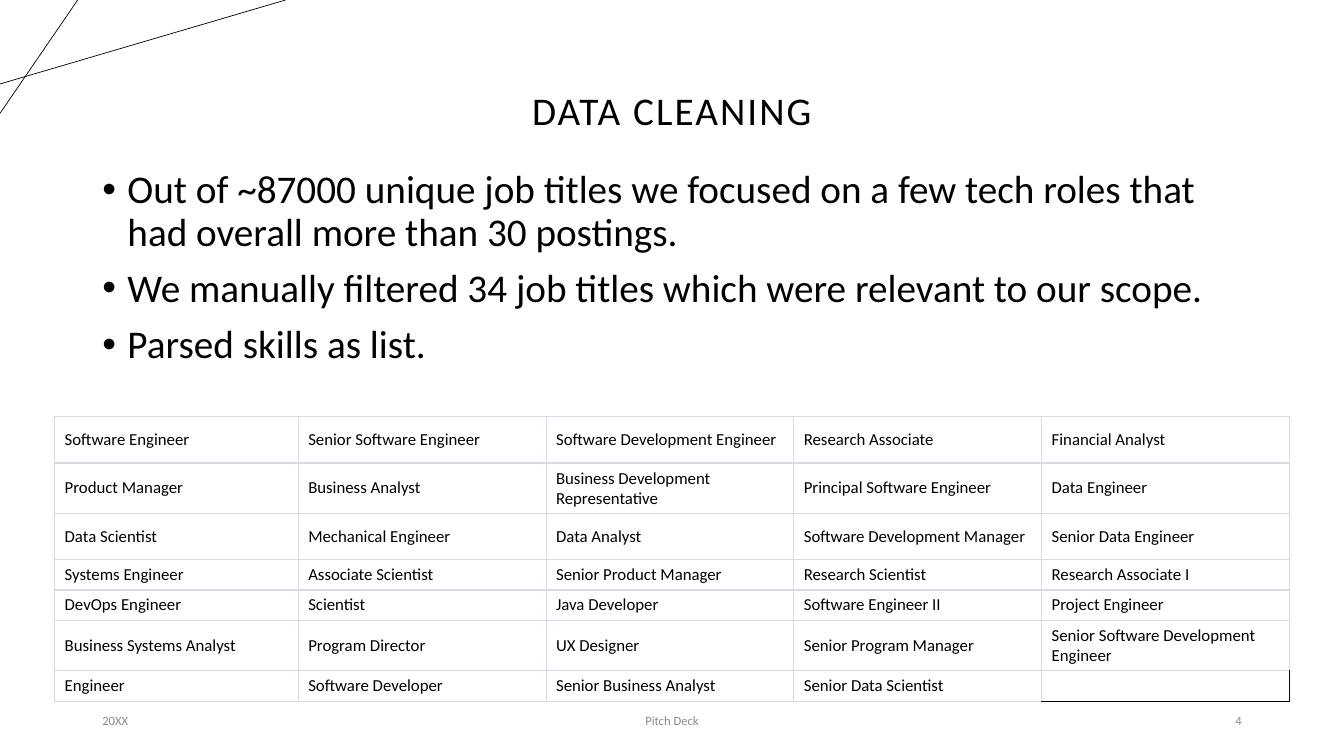
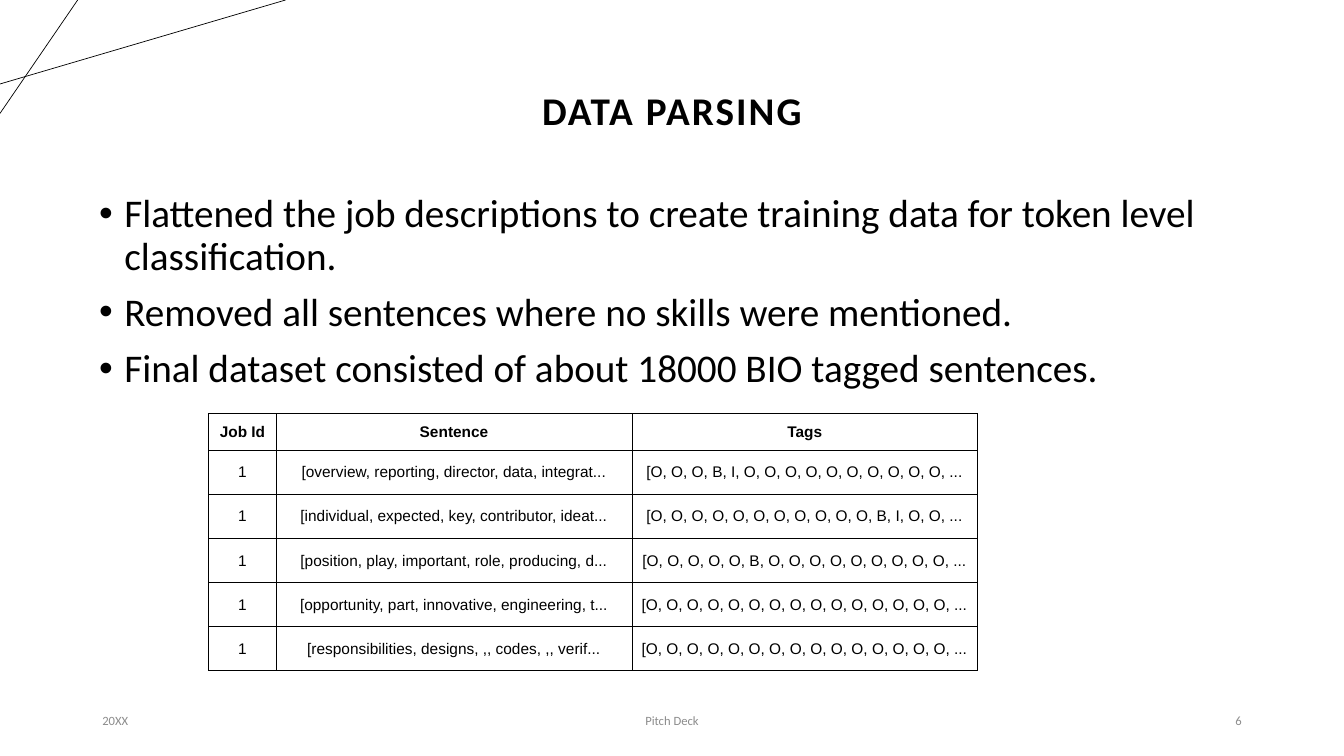
from dataclasses import dataclass

from lxml.etree import SubElement
from pptx import Presentation
from pptx.dml.color import RGBColor
from pptx.enum.shapes import MSO_CONNECTOR
from pptx.enum.text import MSO_ANCHOR, PP_ALIGN
from pptx.oxml.ns import qn
from pptx.util import Pt

PX = 9525  # EMU in one px
WIDE, HIGH = 1280, 720


@dataclass(frozen=True)
class Theme:
    ink: str = "000000"
    muted: str = "8C8C8C"
    rule: str = "D9D9E3"
    main: str = "Calibri"
    data: str = "Arial"
    head: int = 28
    body: int = 28
    cell: int = 12
    tag: int = 11
    foot: int = 9
    track: int = 150  # title letter spacing, 1/100 pt
    thin: float = 0.5
    fine: float = 0.75
    firm: float = 1


THEME = Theme()

JOBS = [
    ["Software Engineer", "Senior Software Engineer", "Software Development Engineer",
     "Research Associate", "Financial Analyst"],
    ["Product Manager", "Business Analyst", "Business Development Representative",
     "Principal Software Engineer", "Data Engineer"],
    ["Data Scientist", "Mechanical Engineer", "Data Analyst",
     "Software Development Manager", "Senior Data Engineer"],
    ["Systems Engineer", "Associate Scientist", "Senior Product Manager",
     "Research Scientist", "Research Associate I"],
    ["DevOps Engineer", "Scientist", "Java Developer",
     "Software Engineer II", "Project Engineer"],
    ["Business Systems Analyst", "Program Director", "UX Designer",
     "Senior Program Manager", "Senior Software Development Engineer"],
    ["Engineer", "Software Developer", "Senior Business Analyst",
     "Senior Data Scientist", ""],
]

TAGS = [
    ["Job Id", "Sentence", "Tags"],
    ["1", "[overview, reporting, director, data, integrat...",
     "[O, O, O, B, I, O, O, O, O, O, O, O, O, O, O, ..."],
    ["1", "[individual, expected, key, contributor, ideat...",
     "[O, O, O, O, O, O, O, O, O, O, O, B, I, O, O, ..."],
    ["1", "[position, play, important, role, producing, d...",
     "[O, O, O, O, O, B, O, O, O, O, O, O, O, O, O, ..."],
    ["1", "[opportunity, part, innovative, engineering, t...",
     "[O, O, O, O, O, O, O, O, O, O, O, O, O, O, O, ..."],
    ["1", "[responsibilities, designs, ,, codes, ,, verif...",
     "[O, O, O, O, O, O, O, O, O, O, O, O, O, O, O, ..."],
]


def emu(*sizes):
    return [size * PX for size in sizes]


def style(para, size, color=THEME.ink, face=THEME.main, bold=False, align=PP_ALIGN.LEFT):
    para.alignment = align
    font = para.font
    font.name, font.size, font.bold = face, Pt(size), bold
    font.color.rgb = RGBColor.from_string(color)


def text_box(slide, box, text, anchor=MSO_ANCHOR.MIDDLE):
    frame = slide.shapes.add_textbox(*emu(*box)).text_frame
    frame.word_wrap = True
    frame.vertical_anchor = anchor
    frame.text = text
    return frame


# Corner lines
def corner(slide, box):
    left, top, wide, high = box
    for x1, y1, x2, y2 in ((0, 80, wide, 0), (74, 0, 0, high)):
        line = slide.shapes.add_connector(
            MSO_CONNECTOR.STRAIGHT, *emu(left + x1, top + y1, left + x2, top + y2))
        line.line.color.rgb = RGBColor.from_string(THEME.ink)
        line.line.width = Pt(THEME.thin)
        SubElement(line._element.spPr, qn("a:effectLst"))


# Title
def title(slide, box, text, bold):
    para = text_box(slide, box, text).paragraphs[0]
    para.line_spacing = 0.9
    style(para, THEME.head, bold=bold, align=PP_ALIGN.CENTER)
    para.runs[0]._r.get_or_add_rPr().set("spc", str(THEME.track))


# Footer: date, deck name, page number
def footer(slide, box, page):
    left, top, wide, high = box
    side, mid = 288, 432
    parts = (
        (0, side, "20XX", PP_ALIGN.LEFT),
        ((wide - mid) // 2, mid, "Pitch Deck", PP_ALIGN.CENTER),
        (wide - side, side, str(page), PP_ALIGN.RIGHT),
    )
    for shift, span, text, align in parts:
        frame = text_box(slide, (left + shift, top, span, high), text)
        style(frame.paragraphs[0], THEME.foot, THEME.muted, align=align)


# Bulleted body
def bullets(slide, box, items):
    frame = text_box(slide, box, "\n".join(items), MSO_ANCHOR.TOP)
    for para in frame.paragraphs:
        props = para._p.get_or_add_pPr()
        props.set("marL", str(24 * PX))
        props.set("indent", str(-24 * PX))
        SubElement(props, qn("a:buFont")).set("typeface", THEME.data)
        SubElement(props, qn("a:buChar")).set("char", "•")
        para.line_spacing = 0.9
        para.space_before = Pt(10)
        style(para, THEME.body)


# Table parts
def border(cell, edges):
    """Set edges given as (color, points) in the order left, right, top, bottom."""
    props = cell._tc.get_or_add_tcPr()
    for spot, (side, (color, width)) in enumerate(zip("LRTB", edges)):
        line = SubElement(props, qn(f"a:ln{side}"), w=str(Pt(width)))
        fill = SubElement(line, qn("a:solidFill"))
        SubElement(fill, qn("a:srgbClr"), val=color)
        props.insert(spot, line)


def grid(slide, spot, cols, rows, data, edges, look, inset=None):
    """Draw a table; edges and look give borders and text style by row and column."""
    table = slide.shapes.add_table(
        len(rows), len(cols), *emu(*spot, sum(cols), sum(rows))).table
    table.first_row = table.horz_banding = False
    for col, wide in zip(table.columns, cols):
        col.width = wide * PX
    for row, high in zip(table.rows, rows):
        row.height = high * PX
    for r, line in enumerate(data):
        for c, text in enumerate(line):
            cell = table.cell(r, c)
            cell.text = text
            cell.vertical_anchor = MSO_ANCHOR.MIDDLE
            if inset is not None:
                cell.margin_left = cell.margin_right = inset * PX
                cell.margin_top = cell.margin_bottom = inset * PX
            cell.fill.background()
            border(cell, edges(r, c))
            para = cell.text_frame.paragraphs[0]
            style(para, **look(r))
            if not text:
                SubElement(para._p, qn("a:endParaRPr"), sz=str(THEME.cell * 100))


def job_table(slide, spot):
    fine, firm = (THEME.rule, THEME.fine), (THEME.rule, THEME.firm)
    dark = (THEME.ink, THEME.thin)
    last = (len(JOBS) - 1, len(JOBS[0]) - 1)

    def edges(r, c):
        if (r, c) == last:
            return firm, dark, fine, dark
        return fine, fine, firm, fine if r == last[0] else firm

    grid(slide, spot, [232] + [236] * 4, [44, 44, 44, 28, 26, 44, 28], JOBS,
         edges, lambda r: {"size": THEME.cell})


def tag_table(slide, spot):
    grid(slide, spot, [64, 339, 329], [35] + [42] * 5, TAGS,
         lambda r, c: [(THEME.ink, THEME.fine)] * 4,
         lambda r: {"size": THEME.tag, "face": THEME.data, "bold": r == 0,
                    "align": PP_ALIGN.CENTER},
         inset=7)


# Shared frame of a slide
def page(deck, name, number, bold=False):
    slide = deck.slides.add_slide(deck.slide_layouts[6])
    corner(slide, (0, 0, 272, 108))
    title(slide, (88, 38, 1104, 139), name, bold)
    footer(slide, (88, 667, 1104, 38), number)
    return slide


def cleaning(deck):
    slide = page(deck, "DATA CLEANING", 4)
    bullets(slide, (88, 157, 1104, 388), [
        "Out of ~87000 unique job titles we focused on a few tech roles that "
        "had overall more than 30 postings.",
        "We manually filtered 34 job titles which were relevant to our scope.",
        "Parsed skills as list.",
    ])
    job_table(slide, (52, 397))


def parsing(deck):
    slide = page(deck, "DATA PARSING", 6, bold=True)
    bullets(slide, (85, 180, 1104, 388), [
        "Flattened the job descriptions to create training data for token level "
        "classification.",
        "Removed all sentences where no skills were mentioned.",
        "Final dataset consisted of about 18000 BIO tagged sentences.",
    ])
    tag_table(slide, (199, 394))


def main():
    deck = Presentation()
    deck.slide_width, deck.slide_height = emu(WIDE, HIGH)
    cleaning(deck)
    parsing(deck)
    deck.save("out.pptx")


if __name__ == "__main__":
    main()
